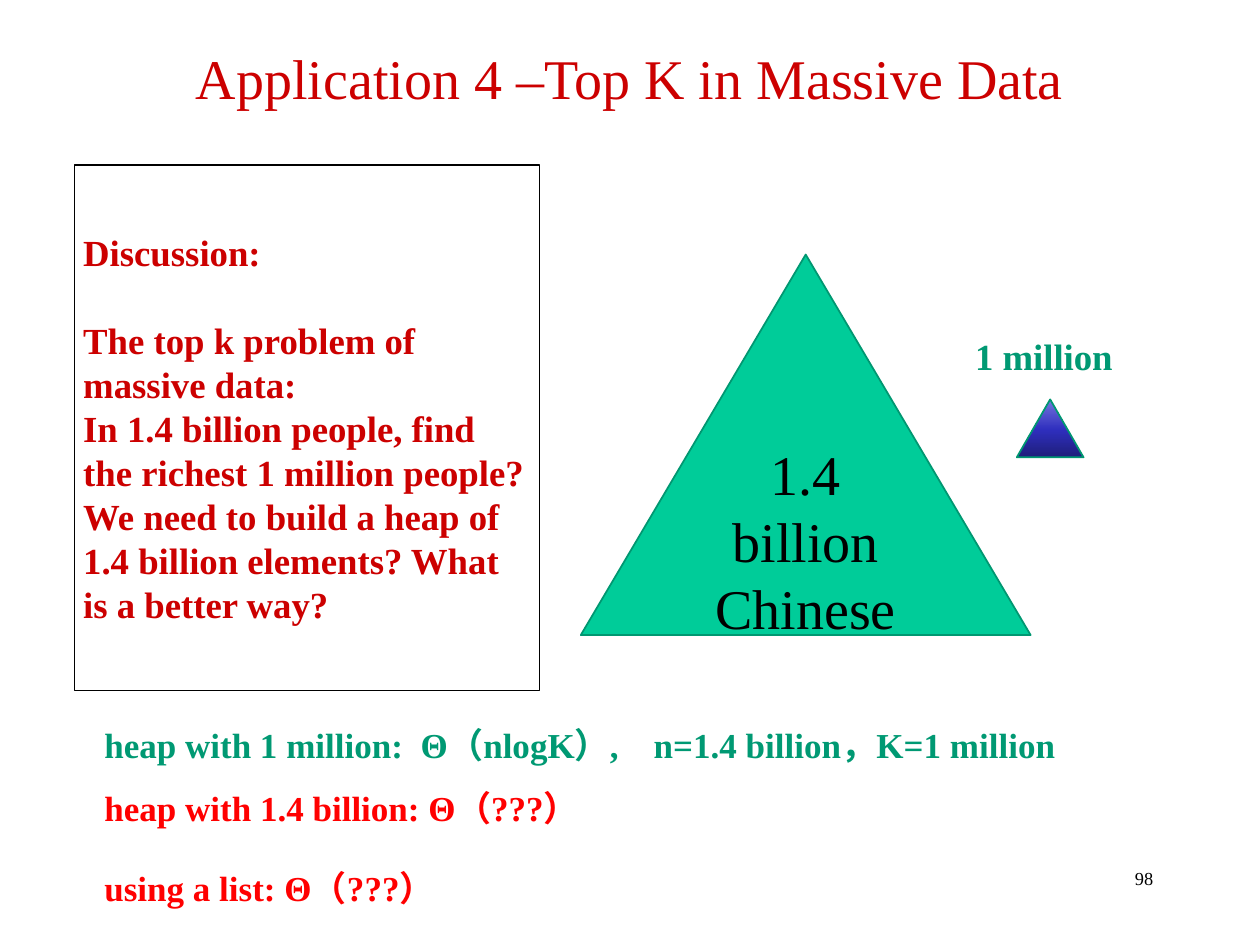
from copy import deepcopy

from pptx import Presentation
from pptx.dml.color import RGBColor
from pptx.enum.shapes import MSO_SHAPE
from pptx.enum.text import MSO_ANCHOR, PP_ALIGN
from pptx.util import Pt

PX = 9144  # 100 px to the inch
FONT = "Times New Roman"
LEFT, CENTER, RIGHT = PP_ALIGN.LEFT, PP_ALIGN.CENTER, PP_ALIGN.RIGHT
TOP, MIDDLE = MSO_ANCHOR.TOP, MSO_ANCHOR.MIDDLE
RECTANGLE, TRIANGLE = MSO_SHAPE.RECTANGLE, MSO_SHAPE.FLOWCHART_EXTRACT

COLORS = {
    "black": "000000",
    "title": "CC0000",
    "question": "FF0000",
    "answer": "009973",
    "triangle": "00CC99",
    "outline": "009771",
}
BLUE_STOPS = [(0, "1E1E7B"), (0.48, "2F2FBE"), (1, "7777DE")]

DISCUSSION = [
    "Discussion:",
    "The top k problem of massive data:",
    "In 1.4 billion people, find the richest 1 million people? "
    "We need to build a heap of 1.4 billion elements? What is a better way?",
]
POPULATION = ["1.4 billion", "Chinese"]

# text, box, size, color, bold, alignment, anchor
LABELS = [
    ("Application 4 –Top K in Massive Data", (50, 24, 900, 75), 32, "title", False, CENTER, MIDDLE),
    ("1 million", (764, 260, 204, 45), 21, "answer", True, LEFT, TOP),
    ("98", (717, 683, 208, 50), 10.5, "black", False, RIGHT, TOP),
]
# text, top, width, color
COSTS = [
    ("heap with 1 million:  Θ（nlogK）,    n=1.4 billion，K=1 million", 569, 844, "answer"),
    ("heap with 1.4 billion: Θ（???）", 619, 811, "question"),
    ("using a list: Θ（???）", 683, 811, "question"),
]
COST_LEFT, COST_HEIGHT = 73, 44


def rgb(name):
    return RGBColor.from_string(COLORS[name])


def emu(box):
    return [length * PX for length in box]


def write(shape, lines, size, color, bold, alignment, anchor, insets=(10, 5)):
    """Fill the shape with paragraphs; insets are (horizontal, vertical) px."""
    frame = shape.text_frame
    frame.word_wrap = True
    frame.vertical_anchor = anchor
    frame.margin_left = frame.margin_right = insets[0] * PX
    frame.margin_top = frame.margin_bottom = insets[1] * PX
    frame.text = "\n".join(lines)
    for paragraph in frame.paragraphs:
        paragraph.alignment = alignment
        font = paragraph.font
        font.name, font.size, font.bold = FONT, Pt(size), bold
        font.color.rgb = rgb(color)


def add_outlined(slide, kind, box, line_color, line_width):
    shape = slide.shapes.add_shape(kind, *emu(box))
    shape.shadow.inherit = False
    shape.fill.background()
    shape.line.color.rgb = rgb(line_color)
    shape.line.width = Pt(line_width)
    return shape


def add_label(slide, text, box, *style):
    write(slide.shapes.add_textbox(*emu(box)), [text], *style)


def fill_gradient(shape, stops, angle):
    fill = shape.fill
    fill.gradient()
    fill.gradient_angle = angle
    first = fill.gradient_stops[0]._gs
    first.addnext(deepcopy(first))  # the default gradient has two stops
    for stop, (position, color) in zip(fill.gradient_stops, stops):
        stop.position = position
        stop.color.rgb = RGBColor.from_string(color)


def main():
    presentation = Presentation()
    presentation.slide_width, presentation.slide_height = emu((1000, 750))
    slide = presentation.slides.add_slide(presentation.slide_layouts[6])

    discussion = add_outlined(slide, RECTANGLE, (59, 131, 369, 417), "black", 0.75)
    write(discussion, DISCUSSION, 21, "title", True, LEFT, MIDDLE, (7, 4))
    discussion.text_frame.paragraphs[1].space_before = Pt(25)

    population = add_outlined(slide, TRIANGLE, (461, 202, 357, 302), "outline", 1)
    population.fill.solid()
    population.fill.fore_color.rgb = rgb("triangle")
    write(population, POPULATION, 32, "black", False, CENTER, MIDDLE, (4, 5))

    richest = add_outlined(slide, TRIANGLE, (807, 317, 53, 46), "outline", 1)
    fill_gradient(richest, BLUE_STOPS, 90)

    for label in LABELS:
        add_label(slide, *label)
    for text, top, width, color in COSTS:
        box = (COST_LEFT, top, width, COST_HEIGHT)
        add_label(slide, text, box, 20, color, True, LEFT, TOP)

    presentation.save("out.pptx")


if __name__ == "__main__":
    main()
